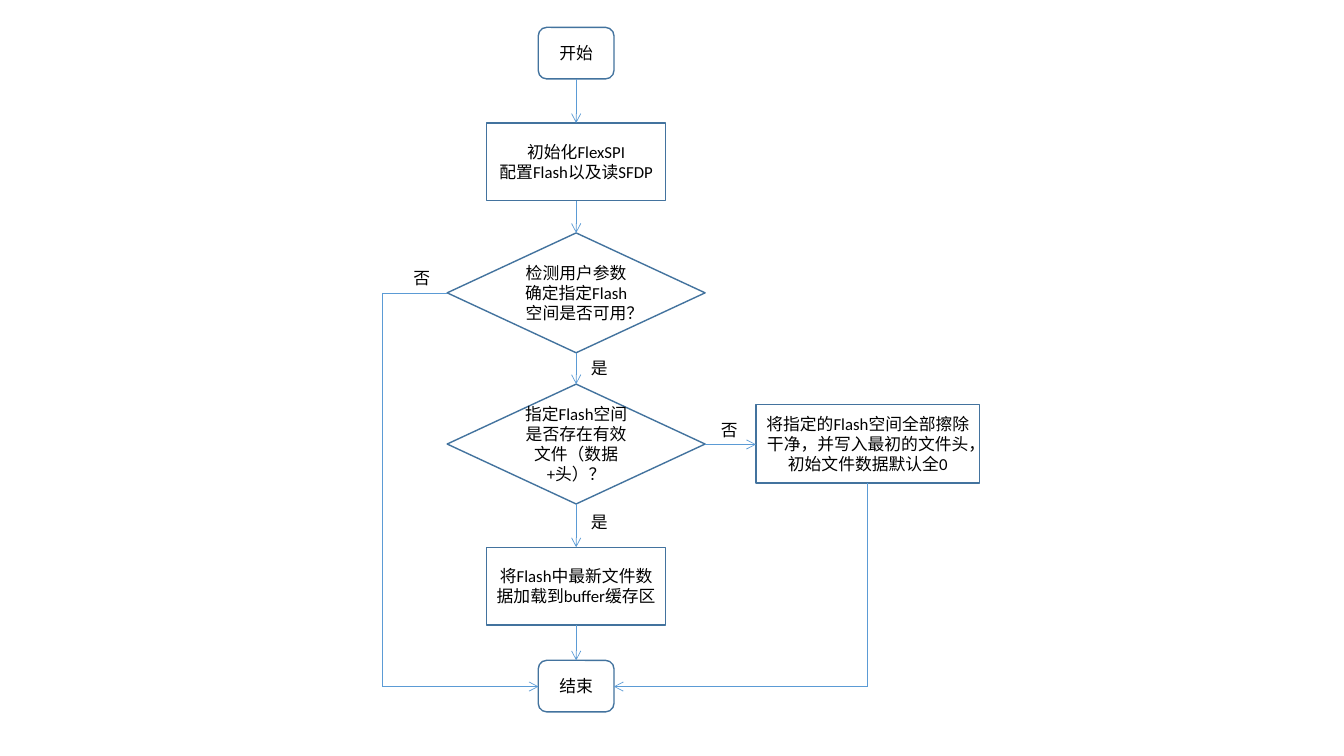
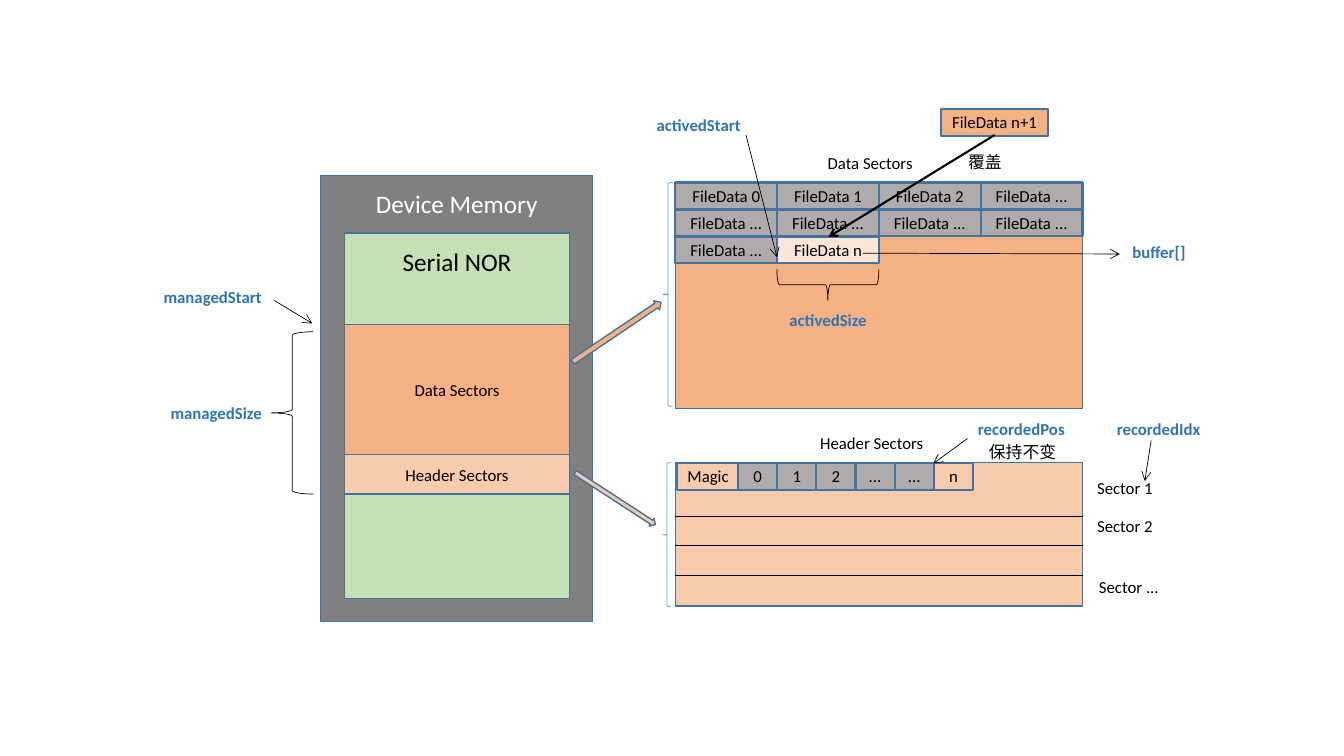
from pptx import Presentation
from pptx.dml.color import RGBColor as Rgb
from pptx.enum.shapes import MSO_CONNECTOR as Conn, MSO_SHAPE as Kind
from pptx.enum.text import MSO_ANCHOR as Anchor, PP_ALIGN as Align
from pptx.oxml.ns import qn
from pptx.util import Cm, Pt
from lxml.etree import SubElement

HUES = {
    "black": "000000", "white": "FFFFFF", "edge": "43739E", "link": "5B9BD5",
    "name": "2E75B6", "device": "808080", "free": "C5E0B4", "data": "F4B183",
    "head": "F8CBAD", "used": "AFABAB", "live": "FBE5D6",
}
FONT = {"name": "Calibri", "size": Pt(12), "bold": False}
FRAME = {"word_wrap": True, "vertical_anchor": Anchor.MIDDLE}
TIGHT = {"margin_left": 0, "margin_right": 0, "margin_top": 0, "margin_bottom": 0}
TITLE = {"vertical_anchor": Anchor.TOP, "margin_top": Cm(0.33)}


def put(obj, *forms):
    for form in forms:
        for key, val in form.items():
            setattr(obj, key, val)


def hue(name):
    return Rgb.from_string(HUES[name])


class Deck:
    def __init__(self):
        self.prs = Presentation()
        put(self.prs, {"slide_width": Cm(33.87), "slide_height": Cm(19.05)})
        self.page = None

    def start(self):
        self.page = self.prs.slides.add_slide(self.prs.slide_layouts[6])

    def letter(self, shape, text, ink="black", frame={}, font={}):
        body = shape.text_frame
        put(body, FRAME, frame)
        body.text = text
        for par in body.paragraphs:
            par.alignment = Align.CENTER
            for run in par.runs:
                put(run.font, FONT, font)
                run.font.color.rgb = hue(ink)

    def stroke(self, line, ink, width):
        line.color.rgb = hue(ink)
        line.width = Pt(width)

    def shape(self, kind, box, text="", fill=None, edge="edge", width=1, turn=0, **style):
        item = self.page.shapes.add_shape(kind, *map(Cm, box))
        item.shadow.inherit = False
        item.rotation = turn
        if fill:
            item.fill.solid()
            item.fill.fore_color.rgb = hue(fill)
        else:
            item.fill.background()
        self.stroke(item.line, edge, width)
        if text:
            self.letter(item, text, **style)

    def cell(self, box, text, fill=None):
        self.shape(Kind.RECTANGLE, box, text, fill, width=1.5, frame=TIGHT)

    def node(self, kind, mid, top, size, text):
        wide, high = size
        self.shape(kind, (mid - wide / 2, top, wide, high), text)

    def brace(self, box, edge="link", turn=0):
        self.shape(Kind.LEFT_BRACE, box, edge=edge, width=0.5, turn=turn)

    def label(self, mid, row, text, wide=2.9, **style):
        high = 0.97
        box = (mid - wide / 2, row - high / 2, wide, high)
        item = self.page.shapes.add_textbox(*map(Cm, box))
        self.letter(item, text, **style)

    def line(self, *ends, ink="black", width=0.5, arrow=True):
        item = self.page.shapes.add_connector(Conn.STRAIGHT, *map(Cm, ends))
        self.stroke(item.line, ink, width)
        props = item._element.spPr
        if arrow:
            SubElement(props.find(qn("a:ln")), qn("a:tailEnd"), type="arrow")
        SubElement(props, qn("a:effectLst"))

    def route(self, *points):
        last = len(points) - 2
        for i, (here, there) in enumerate(zip(points, points[1:])):
            self.line(*here, *there, ink="link", arrow=i == last)


deck = Deck()

# Flow chart: main column
deck.start()
MID = 14.52
CAP, STEP, TEST = (1.91, 1.3), (4.52, 1.96), (6.5, 3.02)
flow = [
    (Kind.ROUNDED_RECTANGLE, 0.69, CAP, "开始"),
    (Kind.RECTANGLE, 3.1, STEP, "初始化FlexSPI\n配置Flash以及读SFDP"),
    (Kind.FLOWCHART_DECISION, 5.87, TEST, "检测用户参数确定指定Flash空间是否可用？"),
    (Kind.FLOWCHART_DECISION, 9.68, TEST, "指定Flash空间是否存在有效文件（数据+头）？"),
    (Kind.RECTANGLE, 13.79, STEP, "将Flash中最新文件数据加载到buffer缓存区"),
    (Kind.ROUNDED_RECTANGLE, 16.64, CAP, "结束"),
]
for kind, top, size, text in flow:
    deck.node(kind, MID, top, size, text)
for (_, top, size, _), below in zip(flow, flow[1:]):
    deck.route((MID, top + size[1]), (MID, below[1]))

# Flow chart: side branches
ERASE, LEFT, END = 21.87, 9.63, 17.3
deck.node(Kind.RECTANGLE, ERASE, 10.19, (5.64, 1.98),
          "将指定的Flash空间全部擦除干净，并写入最初的文件头，初始文件数据默认全0")
deck.route((MID + 3.25, 11.2), (ERASE - 2.82, 11.2))
deck.route((MID - 3.25, 7.38), (LEFT, 7.38), (LEFT, END), (MID - 0.95, END))
deck.route((ERASE, 12.17), (ERASE, END), (MID + 0.95, END))
for mid, row, text in [(15.1, 9.28, "是"), (10.63, 7, "否"),
                       (18.38, 10.83, "否"), (15.1, 13.14, "是")]:
    deck.label(mid, row, text, 1.91)

# Memory map: device
deck.start()
BOX = Kind.RECTANGLE
BIG = {"size": Pt(18)}
deck.shape(BOX, (8.08, 4.42, 6.86, 11.25), "Device Memory", "device",
           ink="white", frame=TITLE, font=BIG)
deck.shape(BOX, (8.69, 5.87, 5.66, 9.22), "Serial NOR", "free", frame=TITLE, font=BIG)
deck.shape(BOX, (8.69, 8.18, 5.66, 4.29), "Data Sectors", "data",
           frame={"margin_bottom": Cm(1.14)})
deck.shape(BOX, (8.69, 11.46, 5.66, 0.99), "Header Sectors", "head")

# Memory map: data sectors
AREA, WIDE, HIGH = 17.02, 10.26, 0.68
deck.shape(BOX, (AREA, 4.57, WIDE, 5.72), fill="data")
files = ["0", "1", "2"] + ["..."] * 6 + ["n"]
pitch = WIDE / 4
for i, tag in enumerate(files):
    row, col = divmod(i, 4)
    deck.cell((AREA + col * pitch, 4.6 + row * HIGH, pitch, HIGH),
              f"FileData {tag}", "live" if tag == "n" else "used")
deck.cell((23.72, 2.74, 2.69, HIGH), "FileData n+1", "data")

# Memory map: header sectors
deck.shape(BOX, (AREA, 11.66, WIDE, 3.61), fill="head")
deck.cell((17.07, 11.66, 1.55, HIGH), "Magic")
slot = 5.92 / 6
for i, tag in enumerate(["0", "1", "2", "...", "...", "n"]):
    deck.cell((18.6 + i * slot, 11.66, slot, HIGH), tag, None if tag == "n" else "used")
for row in (13, 13.75, 14.5):
    deck.line(AREA, row, AREA + WIDE, row, arrow=False)

# Block arrows and braces
deck.shape(Kind.RIGHT_ARROW, (14.2, 8.23, 2.69, 0.28), fill="data", turn=326)
deck.shape(Kind.RIGHT_ARROW, (14.3, 12.45, 2.41, 0.23), fill="head", turn=33)
deck.brace((6.83, 8.36, 1.07, 4.09), "black")
deck.brace((20.47, 5.89, 0.79, 2.57), "black", 270)
deck.brace((16.71, 4.6, 0.25, 5.64))
deck.brace((16.71, 11.66, 0.2, 3.63))

# Pointers
for ends in [(6.91, 7.57, 7.87, 8.15), (18.8, 3.4, 19.58, 6.48),
             (29.01, 11.1, 28.85, 12.12), (24.38, 11.05, 23.52, 11.68),
             (21.74, 6.38, 28.22, 6.4)]:
    deck.line(*ends)
deck.line(25.07, 3.4, 20.88, 5.97, width=1.5)

# Labels
for mid, row, text in [
    (5.36, 7.47, "managedStart"), (5.45, 10.41, "managedSize"),
    (17.61, 3.15, "activedStart"), (20.87, 8.05, "activedSize"),
    (29.2, 10.8, "recordedIdx"), (25.74, 10.8, "recordedPos"),
    (29.21, 6.35, "buffer[]"),
]:
    deck.label(mid, row, text, 3.1, ink="name", font={"bold": True})
for mid, row, text, wide in [
    (21.93, 4.11, "Data Sectors", 2.92), (21.97, 11.15, "Header Sectors", 3.5),
    (28.35, 12.29, "Sector 1", 2.13), (28.35, 13.26, "Sector 2", 2.13),
    (28.45, 14.78, "Sector ...", 2.34), (24.82, 4.09, "覆盖", 2.18),
    (25.77, 11.38, "保持不变", 2.51),
]:
    deck.label(mid, row, text, wide)

deck.prs.save("out.pptx")
